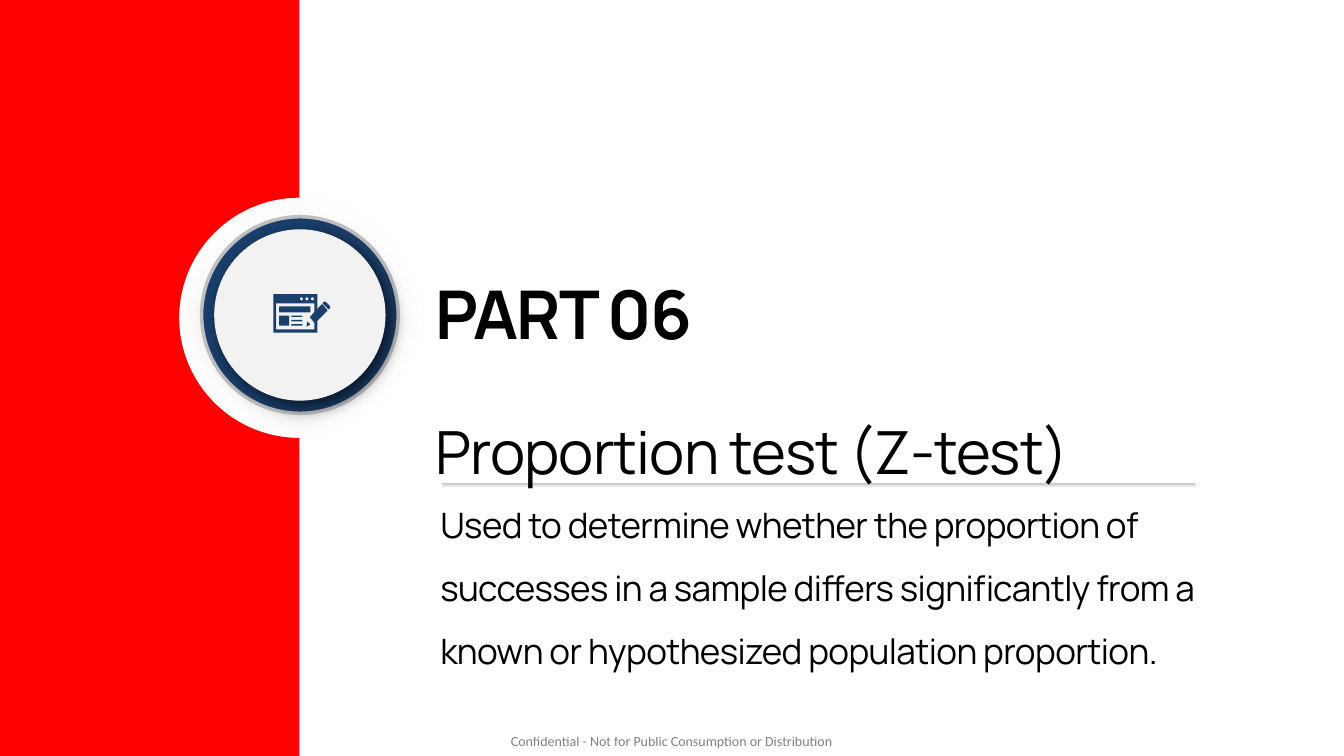
"""Builds the section slide that introduces the proportion test."""
import math

import pptx
import pptx.dml.color
import pptx.enum.dml
import pptx.enum.shapes
import pptx.enum.text
import pptx.oxml
import pptx.oxml.ns
import pptx.util

Pt = pptx.util.Pt
SHAPES = pptx.enum.shapes.MSO_SHAPE


def rgb(value):
    return pptx.dml.color.RGBColor.from_string(value)


def arc(centre, radius, start, end, steps):
    angles = [math.radians(start + (end - start) * i / steps) for i in range(steps + 1)]
    return [(centre[0] + radius * math.cos(a), centre[1] + radius * math.sin(a)) for a in angles]


def box(left, top, right, bottom):
    return [(left, top), (right, top), (right, bottom), (left, bottom)]


class SectionSlide:
    NAVY = "1A3F6C"
    RED = "FF0000"
    PALE = "F2F2F2"
    SILVER = "BFBFBF"
    WHITE = "FFFFFF"
    BLACK = "000000"
    FONT = "Manrope"

    def __init__(self, presentation):
        self.slide = presentation.slides.add_slide(presentation.slide_layouts[6])

    def group(self):
        return self.slide.shapes.add_group_shape().shapes

    def paint(self, shape, fill):
        shape.shadow.inherit = False
        shape.line.fill.background()
        if isinstance(fill, str):
            shape.fill.solid()
            shape.fill.fore_color.rgb = rgb(fill)
        else:
            shape.fill.gradient()
            shape.fill.gradient_angle = 270
            for stop, color in zip(shape.fill.gradient_stops, fill):
                stop.color.rgb = rgb(color)
        return shape

    def preset(self, kind, left, top, width, height, fill, parent=None):
        shapes = self.slide.shapes if parent is None else parent
        shape = shapes.add_shape(kind, Pt(left), Pt(top), Pt(width), Pt(height))
        return self.paint(shape, fill)

    def disc(self, centre, diameter, fill, parent):
        left, top = (c - diameter / 2 for c in centre)
        return self.preset(SHAPES.OVAL, left, top, diameter, diameter, fill, parent)

    def outline(self, contours, fill, parent=None):
        shapes = self.slide.shapes if parent is None else parent
        contours = [[(Pt(x), Pt(y)) for x, y in contour] for contour in contours]
        builder = shapes.build_freeform(*contours[0][0], scale=1.0)
        builder.add_line_segments(contours[0][1:], close=True)
        for contour in contours[1:]:
            builder.move_to(*contour[0])
            builder.add_line_segments(contour[1:], close=True)
        return self.paint(builder.convert_to_shape(), fill)

    def effect(self, shape, body):
        effects = shape._element.spPr.find(pptx.oxml.ns.qn("a:effectLst"))
        name, rest = body.split(" ", 1)
        namespace = pptx.oxml.ns.nsdecls("a")
        effects.append(pptx.oxml.parse_xml(f"<{name} {namespace} {rest}"))

    def text(self, words, left, top, width, height, size, spacing=1.06,
             tracking=0, bold=False, font=FONT, margins=(7.2, 3.6), alpha=100):
        textbox = self.slide.shapes.add_textbox(Pt(left), Pt(top), Pt(width), Pt(height))
        frame = textbox.text_frame
        frame.word_wrap = True
        frame.auto_size = pptx.enum.text.MSO_AUTO_SIZE.NONE
        frame.margin_left = frame.margin_right = Pt(margins[0])
        frame.margin_top = frame.margin_bottom = Pt(margins[1])
        frame.text = words
        paragraph = frame.paragraphs[0]
        paragraph.line_spacing = spacing
        paragraph.space_after = Pt(5)
        run = paragraph.runs[0]
        run.font.name = font
        run.font.size = Pt(size)
        run.font.bold = bold
        run.font.color.rgb = rgb(self.BLACK)
        properties = run._r.get_or_add_rPr()
        properties.set("spc", str(round(tracking * 100)))
        if alpha < 100:
            color = properties.find(".//" + pptx.oxml.ns.qn("a:srgbClr"))
            namespace = pptx.oxml.ns.nsdecls("a")
            color.append(pptx.oxml.parse_xml(f'<a:alpha {namespace} val="{alpha * 1000}"/>'))

    def medallion(self, centre):
        parts = self.group()
        halo = self.disc(centre, 188, (self.WHITE, self.SILVER), parts)
        self.effect(halo, f'a:softEdge rad="{Pt(22)}"/>')
        ring = self.disc(centre, 140.4, self.NAVY, parts)
        ring.line.color.rgb = rgb(self.SILVER)
        ring.line.width = Pt(2.5)
        face = self.disc(centre, 122.4, self.PALE, parts)
        self.effect(face, f'a:outerShdw blurRad="{Pt(12)}" dist="{Pt(5)}" dir="2700000" '
                          'algn="tl" rotWithShape="0"><a:srgbClr val="000000">'
                          '<a:alpha val="64000"/></a:srgbClr></a:outerShdw>')

    def article_icon(self):
        parts = self.group()
        dots = [arc((215.3 + 3.95 * i, 213.5), 1.1, 360, 0, 16) for i in range(3)]
        frame = box(195.2, 210.2, 226.7, 237.7)
        opening = box(197.3, 216.7, 224.6, 235.4)[::-1]
        self.outline([frame, opening] + dots, self.NAVY, parts)
        headline = (199.4, 218.9, 22.3, 4.3)
        thumbnail = (199.4, 225.4, 7.2, 7.2)
        copy_lines = [(208.1, 225.4 + 3.1 * i, 7.9, 1) for i in range(3)]
        for block in [headline, thumbnail] + copy_lines:
            self.preset(SHAPES.RECTANGLE, *block, self.NAVY, parts)
        tip = [(219.6, 229.7), (218.9, 233.3), (221.8, 231.8)]
        eraser = [(230.4, 216.7), (231.5, 215.4), (232.5, 215.4),
                  (235.8, 218.9), (235.8, 220), (234.7, 221)]
        barrel = [(230.4, 217.4), (229.7, 217.4), (221.4, 226.4), (221.8, 227.5),
                  (222.5, 227.9), (223.2, 229), (223.9, 229.3), (223.9, 230.4),
                  (225.4, 230.4), (234, 221.8)]
        for pencil_part in (tip, eraser, barrel):
            self.outline([pencil_part], self.NAVY, parts)


def main():
    presentation = pptx.Presentation()
    presentation.slide_width = Pt(960)
    presentation.slide_height = Pt(540)
    section = SectionSlide(presentation)

    section.text("Confidential - Not for Public Consumption or Distribution",
                 365, 522.7, 232.6, 12.2, 10, font="Calibri", margins=(0, 0), alpha=50)
    section.medallion((214.2, 225))
    notch = arc((213.8, 227), 85.8, 270, 90, 60)
    panel = [(-9.4, -44.6), (213.8, -44.6)] + notch + [(213.8, 585.4), (-9.4, 585.4)]
    section.outline([panel], section.RED)
    divider = section.preset(SHAPES.ROUNDED_RECTANGLE, 315.4, 344.9, 538.6, 3.6,
                             (section.SILVER, section.WHITE))
    divider.adjustments[0] = 0.5
    section.text("PART 06", 303.8, 187.2, 378, 65.5, 48, tracking=-1.2, bold=True)
    section.text("Proportion test (Z-test)", 303.8, 290.2, 496, 177.8, 42.5, tracking=-0.6)
    section.text("Used to determine whether the proportion of successes in a sample differs "
                 "significantly from a known or hypothesized population proportion.",
                 307.4, 341.3, 567.4, 138.2, 25, spacing=1.5, tracking=-0.4)
    section.article_icon()
    presentation.save("out.pptx")


if __name__ == "__main__":
    main()
